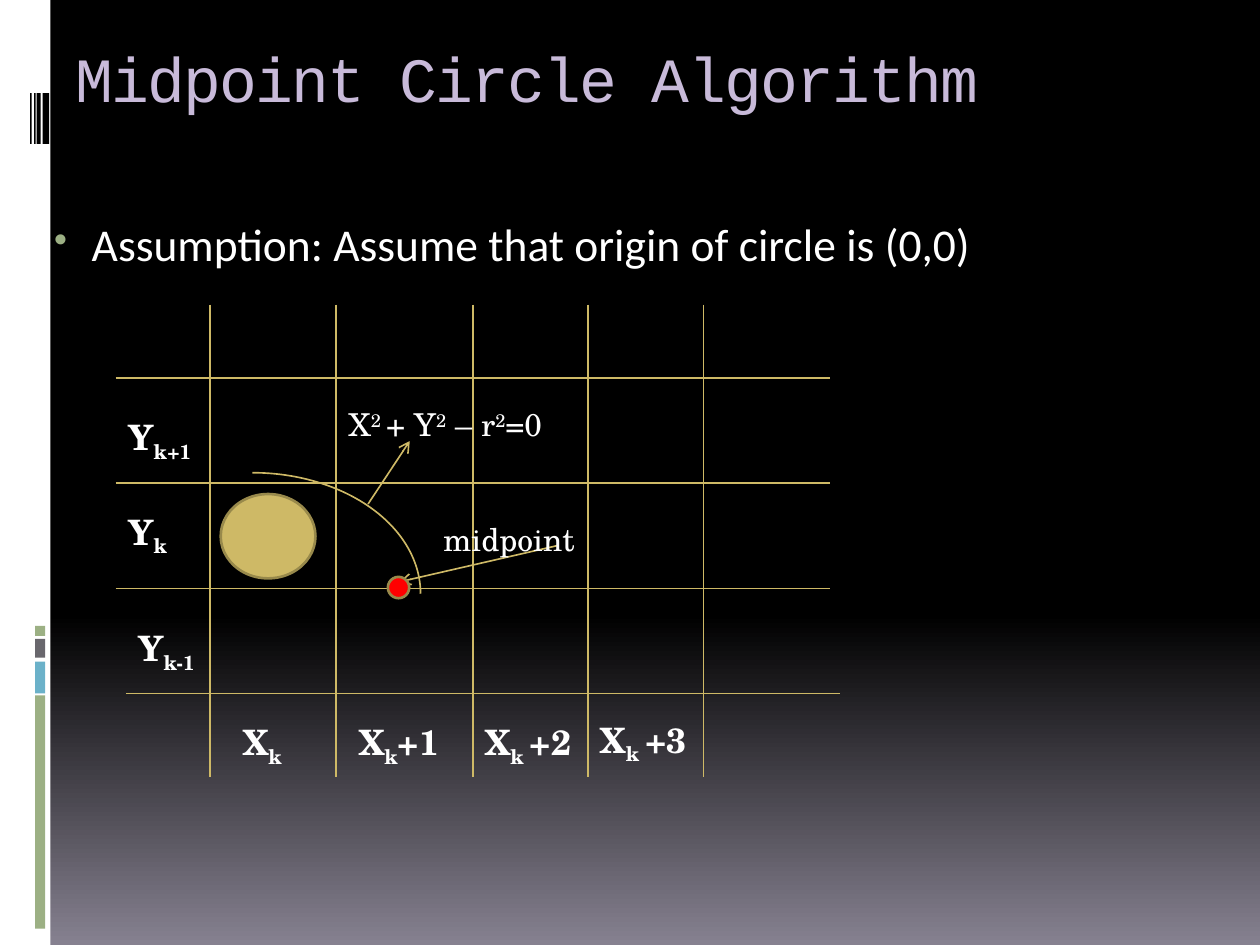
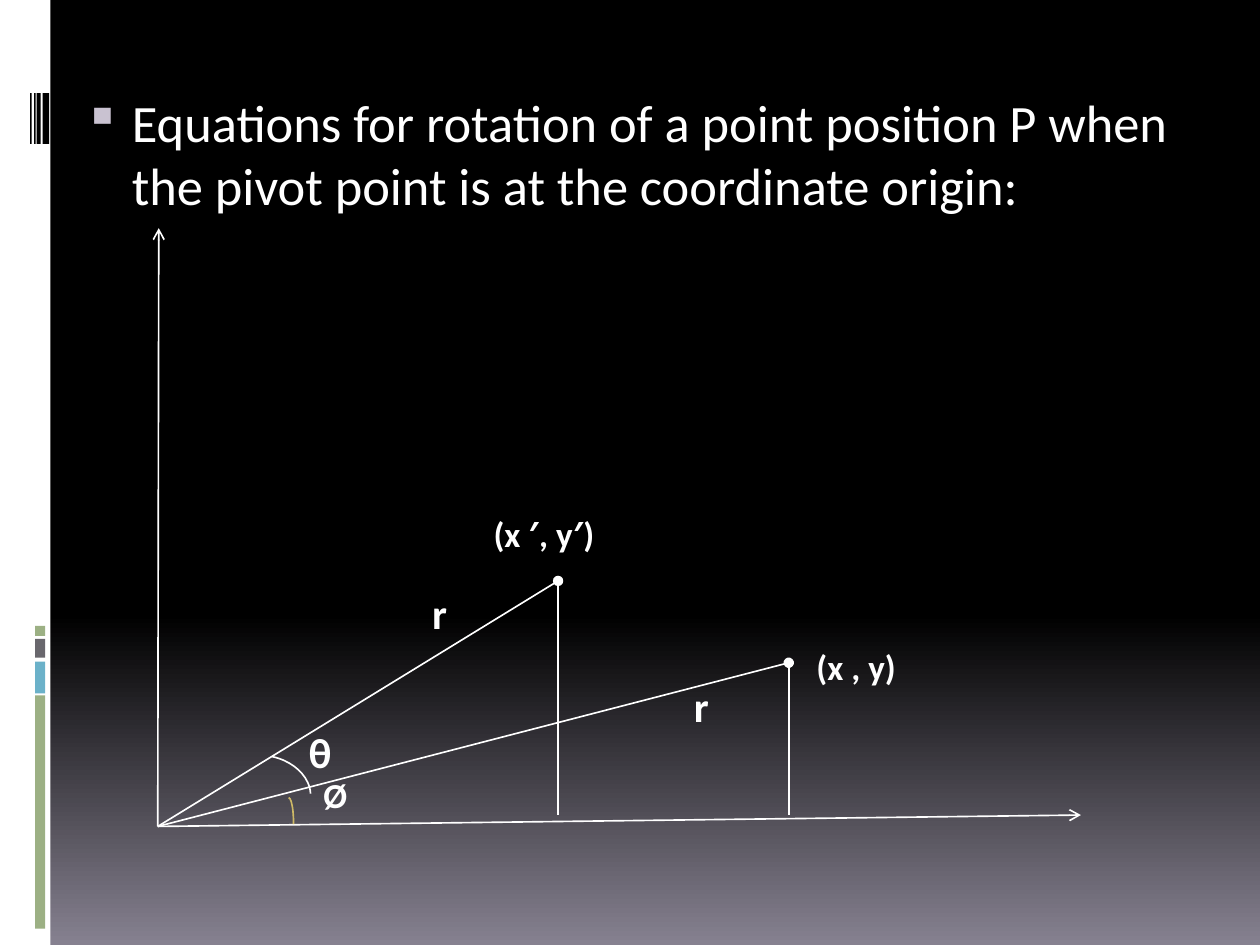
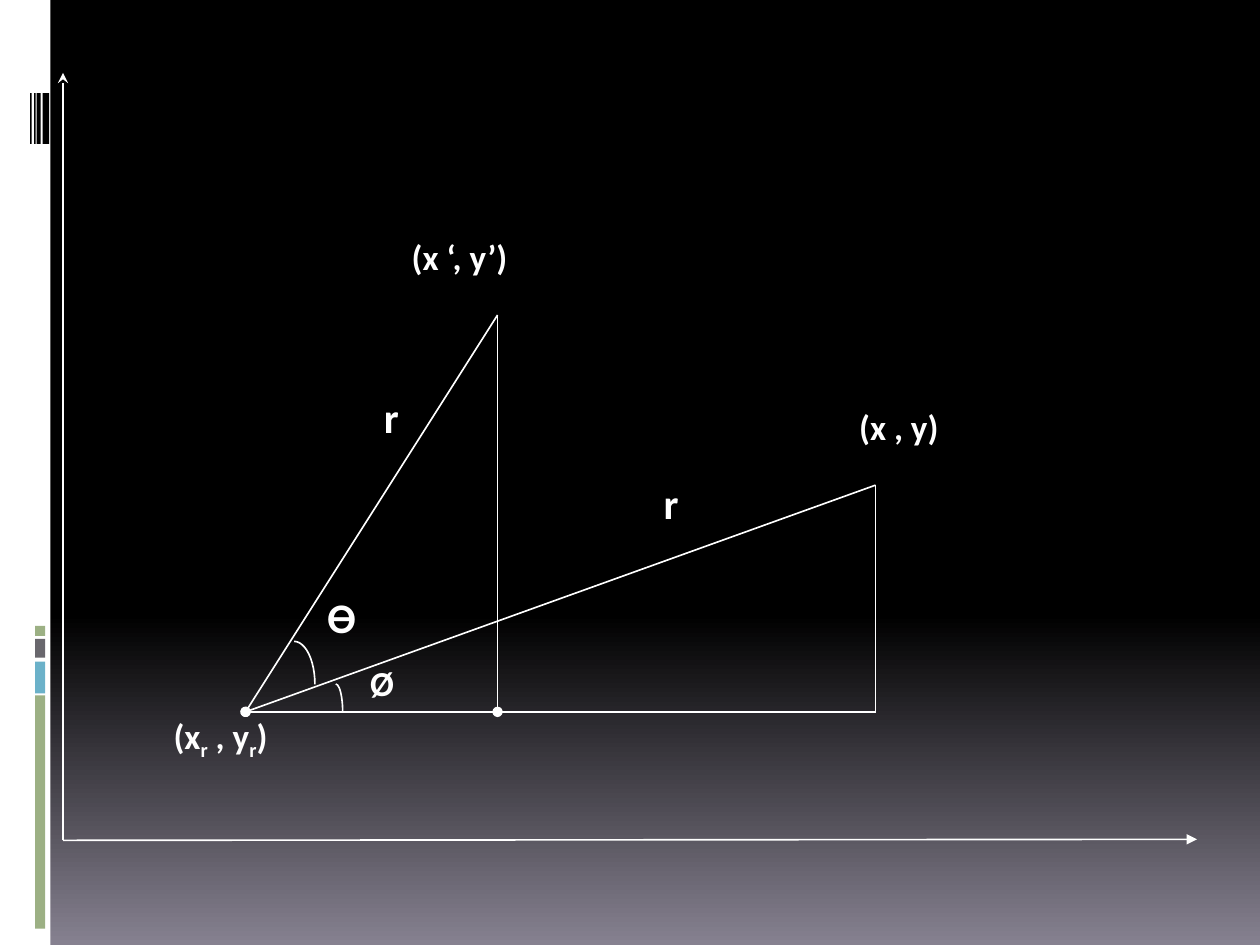
from copy import deepcopy
from dataclasses import dataclass

from lxml.etree import SubElement
from pptx import Presentation
from pptx.dml.color import RGBColor
from pptx.enum.shapes import MSO_CONNECTOR, MSO_SHAPE
from pptx.enum.text import MSO_ANCHOR, MSO_AUTO_SIZE
from pptx.oxml.ns import qn
from pptx.util import Cm, Pt


@dataclass(frozen=True)
class Theme:
    black: str = "000000"
    white: str = "FFFFFF"
    haze: str = "868190"
    lilac: str = "C8BAD9"
    pale_lilac: str = "C9C2D1"
    green: str = "9CB084"
    blue: str = "6BB1C9"
    grey: str = "69676D"
    gold: str = "CEB966"
    dark_gold: str = "98894B"
    red: str = "FF0000"
    heading_font: str = "Courier New"
    body_font: str = "Calibri"
    math_font: str = "TeX Gyre Schola"
    title: int = 36
    lead: int = 30
    body: int = 26
    angle: int = 24
    label: int = 20
    note: int = 18
    thin: float = 0.94
    outline: float = 1.5


THEME = Theme()

# Content: all places and sizes in centimetres
SLIDE_SIZE = (25.4, 19.05)
SIDEBAR = [  # left, top, width, height, colour
    (0, 0, 1.02, 19.05, THEME.white),
    (0.71, 14.02, 0.2, 4.7, THEME.green),
    (0.71, 13.34, 0.2, 0.64, THEME.blue),
    (0.71, 12.88, 0.2, 0.38, THEME.grey),
    (0.71, 12.62, 0.2, 0.2, THEME.green),
] + [(left, 1.88, width, 1.02, THEME.black)
     for left, width in ((0.86, 0.13), (0.74, 0.08), (0.69, 0.03), (0.61, 0.03))]

# In a tuple of runs every second one is raised or lowered
GRID_COLUMNS = (4.23, 6.77, 9.53, 11.85, 14.18)
GRID_TOP, GRID_BOTTOM = 6.14, 15.67
ROW_TOP, ROW_STEP, ROW_WIDTH = 7.62, 2.12, 14.4
ROW_LEFTS = (2.33, 2.33, 2.33, 2.54)
GRID_LABELS = [  # runs, left, top, width
    (("X", "k"), 4.65, 14.4, 1.91),
    (("X", "k", "+1"), 6.99, 14.4, 2.33),
    (("X", "k ", "+2"), 9.53, 14.4, 2.54),
    (("X", "k ", "+3"), 11.86, 14.35, 2.54),
    (("Y", "k-1"), 2.54, 12.5, 1.91),
    (("Y", "k"), 2.34, 10.16, 2.54),
    (("Y", "k+1"), 2.34, 8.26, 2.34),
]
CIRCLE_EQUATION = ("X", "2 ", "+ Y", "2", " – r", "2", "=0")

ORIGIN_ROTATION = {
    "lines": [  # start, end, end mark
        ((3.18, 16.66), (21.79, 16.43), "arrow"),
        ((3.18, 16.66), (3.2, 4.6), "arrow"),
        ((3.18, 16.66), (15.9, 13.36), "oval"),
        ((3.18, 16.66), (11.25, 11.71), "oval"),
        ((11.25, 11.71), (11.25, 16.43), None),
        ((15.9, 13.36), (15.9, 16.43), None),
    ],
    "labels": [  # runs, left, top, width, size
        (("Ø",), 6.27, 15.47, 2.79, THEME.label),
        (("r",), 13.74, 13.59, 1.85, THEME.angle),
        (("r",), 8.46, 11.71, 1.85, THEME.angle),
        (("θ",), 5.97, 14.53, 1.85, THEME.angle),
        (("(x , y)",), 16.21, 12.88, 4.34, THEME.label),
        (("(x ′, y′)",), 9.7, 10.21, 4.34, THEME.label),
    ],
}
PIVOT_ROTATION = {
    "lines": [
        ((1.27, 16.94), (1.27, 1.47), "stealth"),
        ((1.27, 16.94), (24.13, 16.92), "triangle"),
        ((17.65, 14.35), (4.95, 14.35), None),
        ((17.65, 9.78), (4.95, 14.35), "oval"),
        ((10.03, 6.35), (4.95, 14.35), "oval"),
        ((10.03, 6.35), (10.03, 14.35), "oval"),
        ((17.65, 9.78), (17.65, 14.35), None),
    ],
    "labels": [
        (("Ø",), 7.21, 13.21, 2.54, THEME.label),
        (("Ө",), 6.35, 11.79, 1.7, THEME.angle),
        (("r",), 7.49, 7.77, 1.7, THEME.angle),
        (("(x , y)",), 17.07, 8.05, 3.96, THEME.label),
        (("(x ‘, y’)",), 8.05, 4.62, 3.96, THEME.label),
        (("r",), 13.13, 9.5, 1.7, THEME.angle),
        (("(x", "r", " , y", "r", ")"), 3.25, 14.27, 3.96, THEME.label),
    ],
}


# Drawing helpers
def color(value):
    return RGBColor.from_string(value)


def add_bullet(paragraph, character, bullet_color, percent, margin, indent):
    properties = paragraph._p.get_or_add_pPr()
    properties.set("marL", str(Cm(margin)))
    properties.set("indent", str(Cm(indent)))
    holder = SubElement(properties, qn("a:buClr"))
    SubElement(holder, qn("a:srgbClr"), val=bullet_color)
    SubElement(properties, qn("a:buSzPct"), val=str(percent * 1000))
    SubElement(properties, qn("a:buChar"), char=character)


def add_text(slide, runs, left, top, width, height=None, *, size, font=THEME.body_font,
             text_color=THEME.white, bold=False, shift=-25, spacing=0,
             anchor=MSO_ANCHOR.TOP, bullet=None):
    """Without a height the box fits one line and grows with its text."""
    line_height = 0.25 + size * 0.043
    box = slide.shapes.add_textbox(Cm(left), Cm(top), Cm(width), Cm(height or line_height))
    frame = box.text_frame
    frame.word_wrap = True
    frame.vertical_anchor = anchor
    if height is None:
        frame.auto_size = MSO_AUTO_SIZE.SHAPE_TO_FIT_TEXT
    paragraph = frame.paragraphs[0]
    if bullet:
        add_bullet(paragraph, *bullet)
    for index, text in enumerate(runs):
        run = paragraph.add_run()
        run.text = text
        run.font.name = font
        run.font.size = Pt(size)
        run.font.bold = bold
        run.font.color.rgb = color(text_color)
        properties = run._r.get_or_add_rPr()
        if index % 2:
            properties.set("baseline", str(shift * 1000))
        if spacing:
            properties.set("spc", str(spacing * 100))


def add_shape(slide, kind, left, top, width, height, fill=None, line=None,
              line_width=THEME.thin):
    shape = slide.shapes.add_shape(kind, Cm(left), Cm(top), Cm(width), Cm(height))
    shape.shadow.inherit = False
    if fill:
        shape.fill.solid()
        shape.fill.fore_color.rgb = color(fill)
    else:
        shape.fill.background()
    if line:
        shape.line.color.rgb = color(line)
        shape.line.width = Pt(line_width)
    else:
        shape.line.fill.background()
    return shape


def add_line(slide, start, end, mark=None, line_color=THEME.white):
    connector = slide.shapes.add_connector(
        MSO_CONNECTOR.STRAIGHT, *(Cm(value) for value in (*start, *end)))
    connector.line.color.rgb = color(line_color)
    connector.line.width = Pt(THEME.thin)
    if mark:
        SubElement(connector.line._get_or_add_ln(), qn("a:tailEnd"), type=mark)
    SubElement(connector._element.spPr, qn("a:effectLst"))


def set_background(master):
    fill = master.background.fill
    fill.gradient()
    fill.gradient_angle = 270
    for stop, position, value in zip(fill.gradient_stops, (0, 1), (THEME.black, THEME.haze)):
        stop.position = position
        stop.color.rgb = color(value)
    # Black holds until 65 % of the height
    stops = master.element.find(".//" + qn("a:gsLst"))
    middle = deepcopy(stops[0])
    middle.set("pos", "65000")
    stops.insert(1, middle)


def add_slide(presentation):
    slide = presentation.slides.add_slide(presentation.slide_layouts[6])
    for left, top, width, height, fill in SIDEBAR:
        add_shape(slide, MSO_SHAPE.RECTANGLE, left, top, width, height, fill)
    return slide


def draw_diagram(slide, diagram):
    for start, end, mark in diagram["lines"]:
        add_line(slide, start, end, mark)
    for runs, left, top, width, size in diagram["labels"]:
        add_text(slide, runs, left, top, width, size=size, bold=True)


# Slides
def build_circle_slide(presentation):
    slide = add_slide(presentation)
    add_text(slide, ["Midpoint Circle Algorithm"], 1.27, 0.38, 22.86, 2.34, size=THEME.title,
             font=THEME.heading_font, text_color=THEME.lilac, spacing=-1,
             anchor=MSO_ANCHOR.MIDDLE)
    add_text(slide, ["Assumption: Assume that origin of circle is (0,0)"],
             0.84, 4.24, 23.62, 12.7, size=THEME.body,
             bullet=("•", THEME.green, 85, 0.76, -0.76))

    # Pixel grid
    for x in GRID_COLUMNS:
        add_line(slide, (x, GRID_TOP), (x, GRID_BOTTOM), line_color=THEME.gold)
    for row, left in enumerate(ROW_LEFTS):
        y = ROW_TOP + row * ROW_STEP
        add_line(slide, (left, y), (left + ROW_WIDTH, y), line_color=THEME.gold)
    for runs, left, top, width in GRID_LABELS:
        add_text(slide, runs, left, top, width, size=THEME.label,
                 font=THEME.math_font, bold=True)

    # Circle arc, its equation and the midpoint
    add_shape(slide, MSO_SHAPE.FLOWCHART_CONNECTOR, 4.45, 9.96, 1.91, 1.7,
              THEME.gold, THEME.dark_gold, THEME.outline)
    add_shape(slide, MSO_SHAPE.ARC, 1.7, 9.53, 6.78, 4.88, line=THEME.gold)
    add_line(slide, (7.42, 10.16), (8.26, 8.89), "arrow", THEME.gold)
    add_text(slide, CIRCLE_EQUATION, 6.78, 8.05, 5.08, size=THEME.note,
             font=THEME.math_font, shift=30)
    add_line(slide, (11.23, 11), (8.05, 11.73), "arrow", THEME.gold)
    add_text(slide, ["midpoint"], 8.69, 10.36, 5.08, size=THEME.note, font=THEME.math_font)
    add_shape(slide, MSO_SHAPE.FLOWCHART_CONNECTOR, 7.82, 11.63, 0.43, 0.43,
              THEME.red, THEME.dark_gold, THEME.outline)


def build_origin_slide(presentation):
    slide = add_slide(presentation)
    add_text(slide, ["Equations for rotation of a point position P when the pivot point "
                     "is at the coordinate origin:"],
             1.27, 1.7, 22.86, 15.24, size=THEME.lead,
             bullet=("▪", THEME.pale_lilac, 95, 1.14, -0.97))
    draw_diagram(slide, ORIGIN_ROTATION)
    theta_arc = add_shape(slide, MSO_SHAPE.ARC, 4.42, 15.24, 1.85, 1.42, line=THEME.white)
    theta_arc.adjustments[1] = 210.7
    theta_arc.rotation = 12
    add_shape(slide, MSO_SHAPE.ARC, 5.72, 16.08, 0.2, 1.07, line=THEME.gold)


def build_pivot_slide(presentation):
    slide = add_slide(presentation)
    draw_diagram(slide, PIVOT_ROTATION)
    add_shape(slide, MSO_SHAPE.ARC, 6.63, 13.79, 0.28, 1.14, line=THEME.white)
    add_shape(slide, MSO_SHAPE.ARC, 5.51, 12.93, 0.84, 1.73, line=THEME.white)


def main():
    presentation = Presentation()
    presentation.slide_width, presentation.slide_height = map(Cm, SLIDE_SIZE)
    set_background(presentation.slide_master)
    build_circle_slide(presentation)
    build_origin_slide(presentation)
    build_pivot_slide(presentation)
    presentation.save("out.pptx")


if __name__ == "__main__":
    main()
